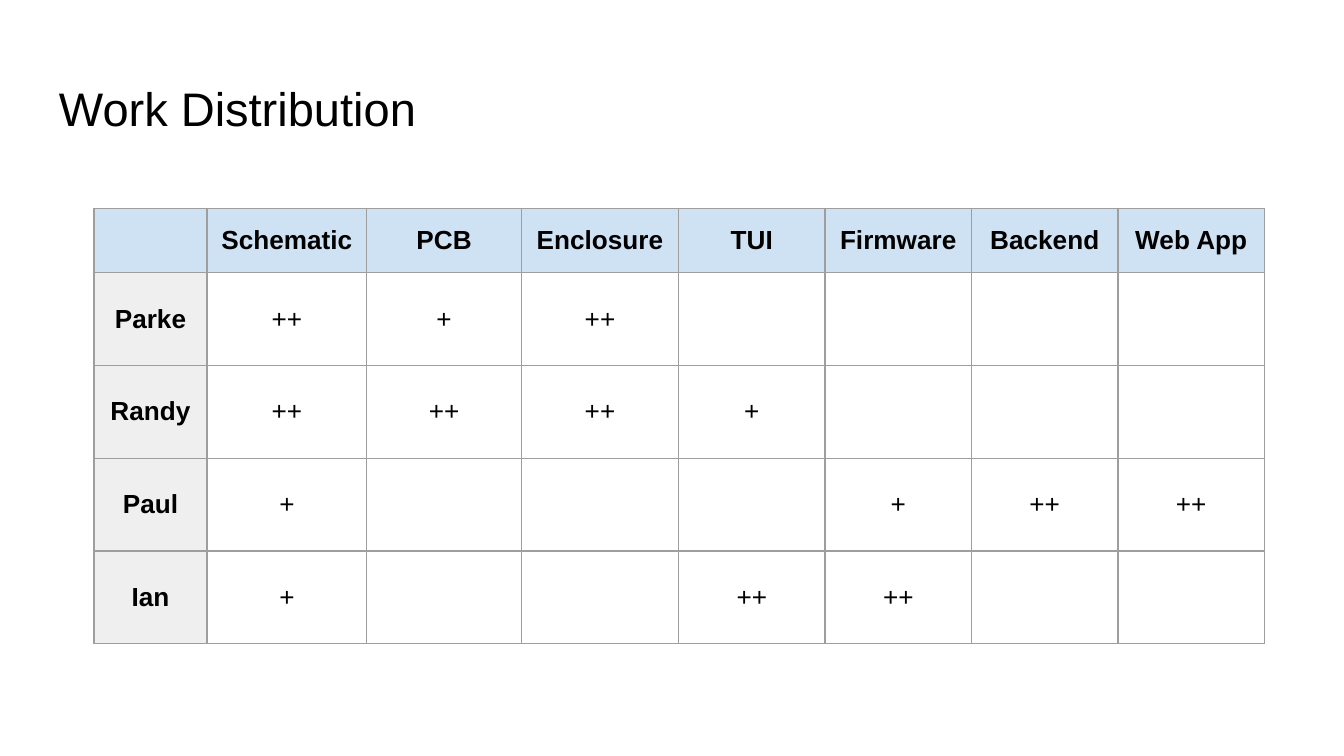
from lxml.etree import SubElement
from pptx import Presentation
from pptx.dml.color import RGBColor
from pptx.enum.text import MSO_ANCHOR as Anchor, PP_ALIGN as Align
from pptx.oxml.ns import qn
from pptx.util import Inches, Pt

BLACK = RGBColor(0x00, 0x00, 0x00)
HEADER_BLUE = RGBColor(0xCF, 0xE2, 0xF3)
NAME_GRAY = RGBColor(0xEF, 0xEF, 0xEF)
BORDER_GRAY = RGBColor(0x9E, 0x9E, 0x9E)

SLIDE_WIDTH = 10
SLIDE_HEIGHT = SLIDE_WIDTH * 9 / 16
MARGINS = {f"margin_{side}": Inches(0.1) for side in ("left", "right", "top", "bottom")}
COLUMN_WIDTHS = [0.84, 1.19, 1.15, 1.17] + [1.09] * 4
ROW_HEIGHTS = [0.48] + [0.69] * 4
WORK_ROWS = [
    ["", "Schematic", "PCB", "Enclosure", "TUI", "Firmware", "Backend", "Web App"],
    ["Parke", "++", "+", "++", "", "", "", ""],
    ["Randy", "++", "++", "++", "+", "", "", ""],
    ["Paul", "+", "", "", "", "+", "++", "++"],
    ["Ian", "+", "", "", "++", "++", "", ""],
]


def set_attributes(target, values):
    for name, value in values.items():
        setattr(target, name, value)


def write_text(para, text, size, bold=False):
    span = para.add_run()
    span.text = text
    set_attributes(span.font, {"name": "Arial", "size": Pt(size), "bold": bold})
    span.font.color.rgb = BLACK


def add_title(page, text):
    box = page.shapes.add_textbox(Inches(0.34), Inches(0.49), Inches(9.32), Inches(0.63))
    frame = box.text_frame
    set_attributes(frame, {"word_wrap": True, "vertical_anchor": Anchor.TOP, **MARGINS})
    write_text(frame.paragraphs[0], text, 25.2)


def add_borders(cell):
    properties = cell._tc.get_or_add_tcPr()
    for position, side in enumerate(("a:lnL", "a:lnR", "a:lnT", "a:lnB")):
        line = SubElement(properties, qn(side), w=str(Pt(0.75)))
        fill = SubElement(line, qn("a:solidFill"))
        SubElement(fill, qn("a:srgbClr"), val=str(BORDER_GRAY))
        properties.insert(position, line)


def fill_cell(cell, color):
    if color is None:
        cell.fill.background()
    else:
        cell.fill.solid()
        cell.fill.fore_color.rgb = color


def format_cell(cell, text, color):
    fill_cell(cell, color)
    add_borders(cell)
    if text:
        set_attributes(cell, {"vertical_anchor": Anchor.MIDDLE, **MARGINS})
        para = cell.text_frame.paragraphs[0]
        para.alignment = Align.CENTER
        write_text(para, text, 14, bold=color is not None)


def add_work_table(page):
    frame = page.shapes.add_table(
        len(ROW_HEIGHTS), len(COLUMN_WIDTHS), Inches(0.7), Inches(1.55),
        Inches(sum(COLUMN_WIDTHS)), Inches(sum(ROW_HEIGHTS)))
    table = frame.table
    set_attributes(table, {"first_row": False, "horz_banding": False})
    for column, width in zip(table.columns, COLUMN_WIDTHS):
        column.width = Inches(width)
    for row, height in zip(table.rows, ROW_HEIGHTS):
        row.height = Inches(height)
    for row_index, texts in enumerate(WORK_ROWS):
        for column_index, text in enumerate(texts):
            color = HEADER_BLUE if row_index == 0 else NAME_GRAY if column_index == 0 else None
            format_cell(table.cell(row_index, column_index), text, color)


def main():
    deck = Presentation()
    set_attributes(deck, {
        "slide_width": Inches(SLIDE_WIDTH),
        "slide_height": Inches(SLIDE_HEIGHT),
    })
    page = deck.slides.add_slide(deck.slide_layouts[6])
    add_title(page, "Work Distribution")
    add_work_table(page)
    deck.save("out.pptx")


if __name__ == "__main__":
    main()
